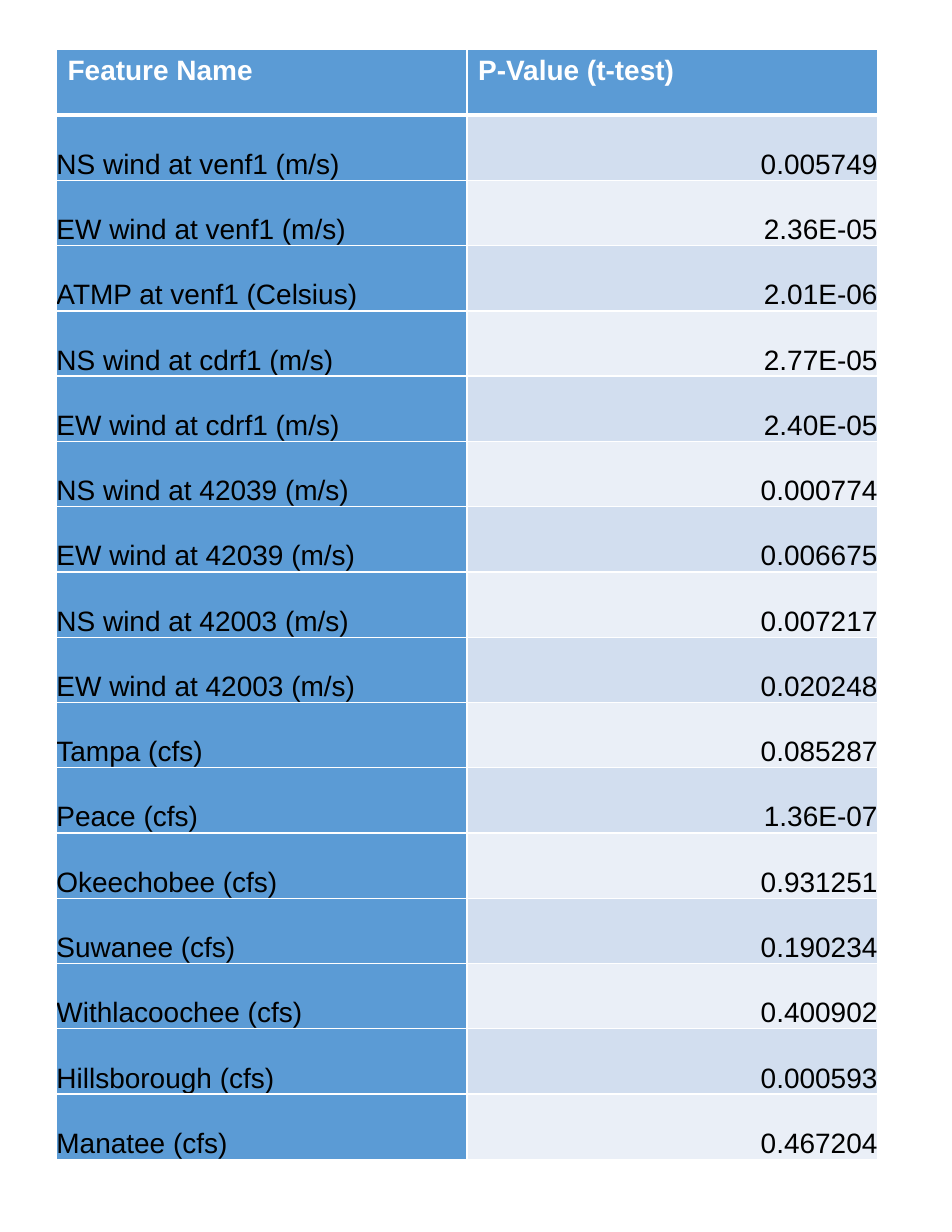
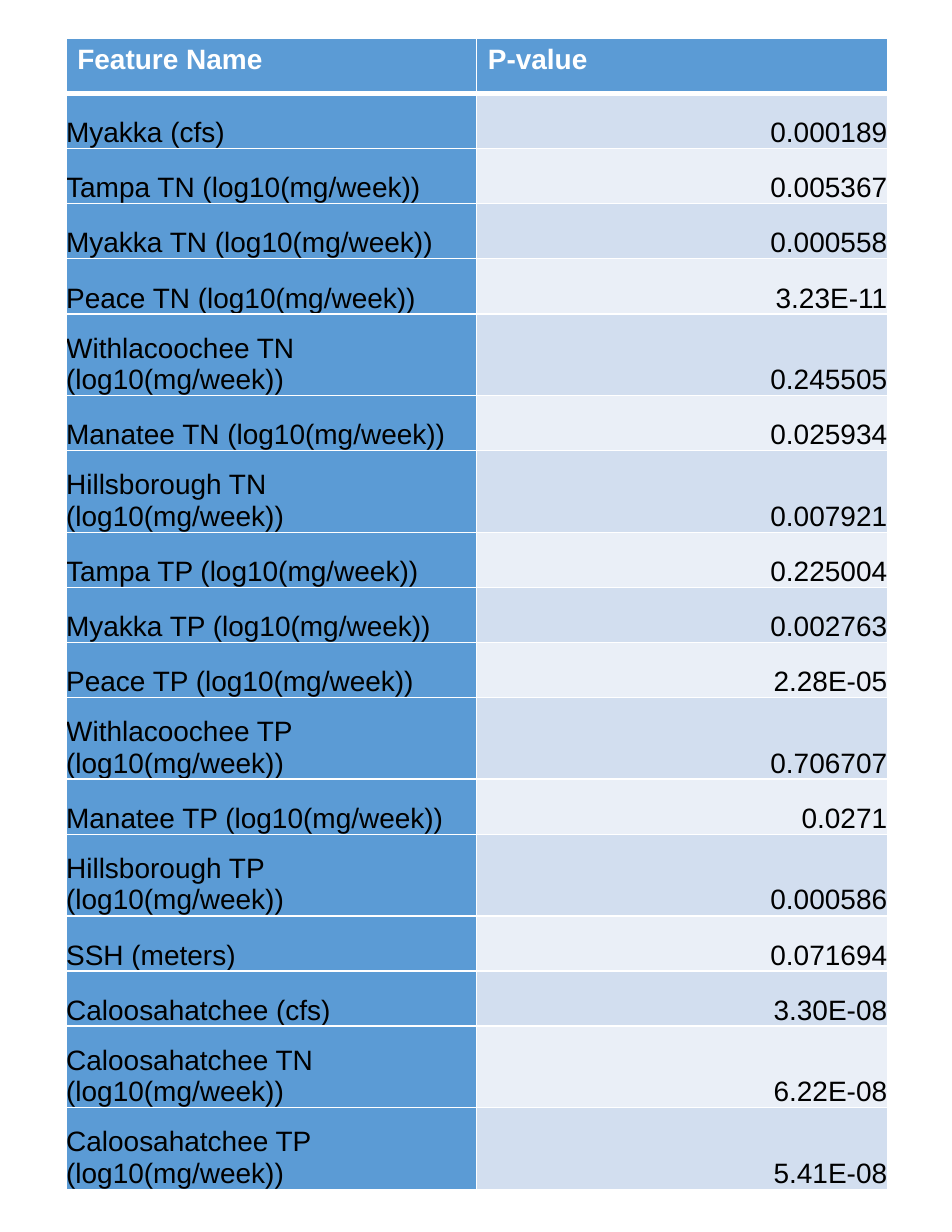
"""Build two slides of feature p-value tables."""
from lxml.etree import SubElement
from pptx import Presentation
from pptx.dml.color import RGBColor
from pptx.enum.text import MSO_ANCHOR, PP_ALIGN
from pptx.oxml.ns import qn
from pptx.util import Cm, Pt

BLUE = RGBColor(0x5B, 0x9B, 0xD5)
DARK_BAND = RGBColor(0xD2, 0xDE, 0xEF)
LIGHT_BAND = RGBColor(0xEA, 0xEF, 0xF7)
WHITE = RGBColor(0xFF, 0xFF, 0xFF)
BLACK = RGBColor(0x00, 0x00, 0x00)
FONT_NAME = "Arial"
COLUMN_WIDTH = 9.31
LONGEST_SINGLE_LINE = 30

WEATHER_AND_FLOW = [
    ("Feature Name", "P-Value (t-test)"),
    ("NS wind at venf1 (m/s)", "0.005749"),
    ("EW wind at venf1 (m/s)", "2.36E-05"),
    ("ATMP at venf1 (Celsius)", "2.01E-06"),
    ("NS wind at cdrf1 (m/s)", "2.77E-05"),
    ("EW wind at cdrf1 (m/s)", "2.40E-05"),
    ("NS wind at 42039 (m/s)", "0.000774"),
    ("EW wind at 42039 (m/s)", "0.006675"),
    ("NS wind at 42003 (m/s)", "0.007217"),
    ("EW wind at 42003 (m/s)", "0.020248"),
    ("Tampa (cfs)", "0.085287"),
    ("Peace (cfs)", "1.36E-07"),
    ("Okeechobee (cfs)", "0.931251"),
    ("Suwanee (cfs)", "0.190234"),
    ("Withlacoochee (cfs)", "0.400902"),
    ("Hillsborough (cfs)", "0.000593"),
    ("Manatee (cfs)", "0.467204"),
]
NUTRIENTS = [
    ("Feature Name", "P-value"),
    ("Myakka (cfs)", "0.000189"),
    ("Tampa TN (log10(mg/week))", "0.005367"),
    ("Myakka TN (log10(mg/week))", "0.000558"),
    ("Peace TN (log10(mg/week))", "3.23E-11"),
    ("Withlacoochee TN (log10(mg/week))", "0.245505"),
    ("Manatee TN (log10(mg/week))", "0.025934"),
    ("Hillsborough TN (log10(mg/week))", "0.007921"),
    ("Tampa TP (log10(mg/week))", "0.225004"),
    ("Myakka TP (log10(mg/week))", "0.002763"),
    ("Peace TP (log10(mg/week))", "2.28E-05"),
    ("Withlacoochee TP (log10(mg/week))", "0.706707"),
    ("Manatee TP (log10(mg/week))", "0.0271"),
    ("Hillsborough TP (log10(mg/week))", "0.000586"),
    ("SSH (meters)", "0.071694"),
    ("Caloosahatchee (cfs)", "3.30E-08"),
    ("Caloosahatchee TN (log10(mg/week))", "6.22E-08"),
    ("Caloosahatchee TP (log10(mg/week))", "5.41E-08"),
]
TABLES = [
    (WEATHER_AND_FLOW, 1.28, 1.13, 1.48, 1.48),
    (NUTRIENTS, 1.5, 0.87, 1.25, 1.85),
]


def write_text(cell, text, color=BLACK, bold=False, align=PP_ALIGN.LEFT):
    paragraph = cell.text_frame.paragraphs[0]
    paragraph.alignment = align
    run = paragraph.add_run()
    run.text = text
    run.font.name = FONT_NAME
    run.font.size = Pt(18)
    run.font.bold = bold
    run.font.color.rgb = color


def add_borders(cell, top, bottom):
    properties = cell._tc.get_or_add_tcPr()
    for side, width in (("L", 1), ("R", 1), ("T", top), ("B", bottom)):
        line = SubElement(properties, qn(f"a:ln{side}"), w=str(Pt(width)))
        fill = SubElement(line, qn("a:solidFill"))
        SubElement(fill, qn("a:srgbClr"), val=str(WHITE))


presentation = Presentation()
presentation.slide_width = Cm(21.59)
presentation.slide_height = Cm(27.94)

for rows, left, top, single_height, double_height in TABLES:
    slide = presentation.slides.add_slide(presentation.slide_layouts[6])
    heights = [
        double_height if len(feature) > LONGEST_SINGLE_LINE else single_height
        for feature, p_value in rows
    ]
    table = slide.shapes.add_table(
        len(rows), 2, Cm(left), Cm(top), Cm(2 * COLUMN_WIDTH), Cm(sum(heights))
    ).table
    table.horz_banding = False
    for column in table.columns:
        column.width = Cm(COLUMN_WIDTH)

    for row_index, (texts, height) in enumerate(zip(rows, heights)):
        table.rows[row_index].height = Cm(height)
        is_header = row_index == 0
        band = DARK_BAND if row_index % 2 else LIGHT_BAND
        for column_index, text in enumerate(texts):
            cell = table.cell(row_index, column_index)
            add_borders(cell, 3 if row_index == 1 else 1, 3 if is_header else 1)
            cell.fill.solid()
            cell.fill.fore_color.rgb = BLUE if is_header or column_index == 0 else band
            if is_header:
                write_text(cell, text, color=WHITE, bold=True)
                continue
            cell.vertical_anchor = MSO_ANCHOR.BOTTOM
            cell.margin_left = cell.margin_right = 0
            cell.margin_top = cell.margin_bottom = 0
            write_text(cell, text, align=PP_ALIGN.RIGHT if column_index else PP_ALIGN.LEFT)

presentation.save("out.pptx")
